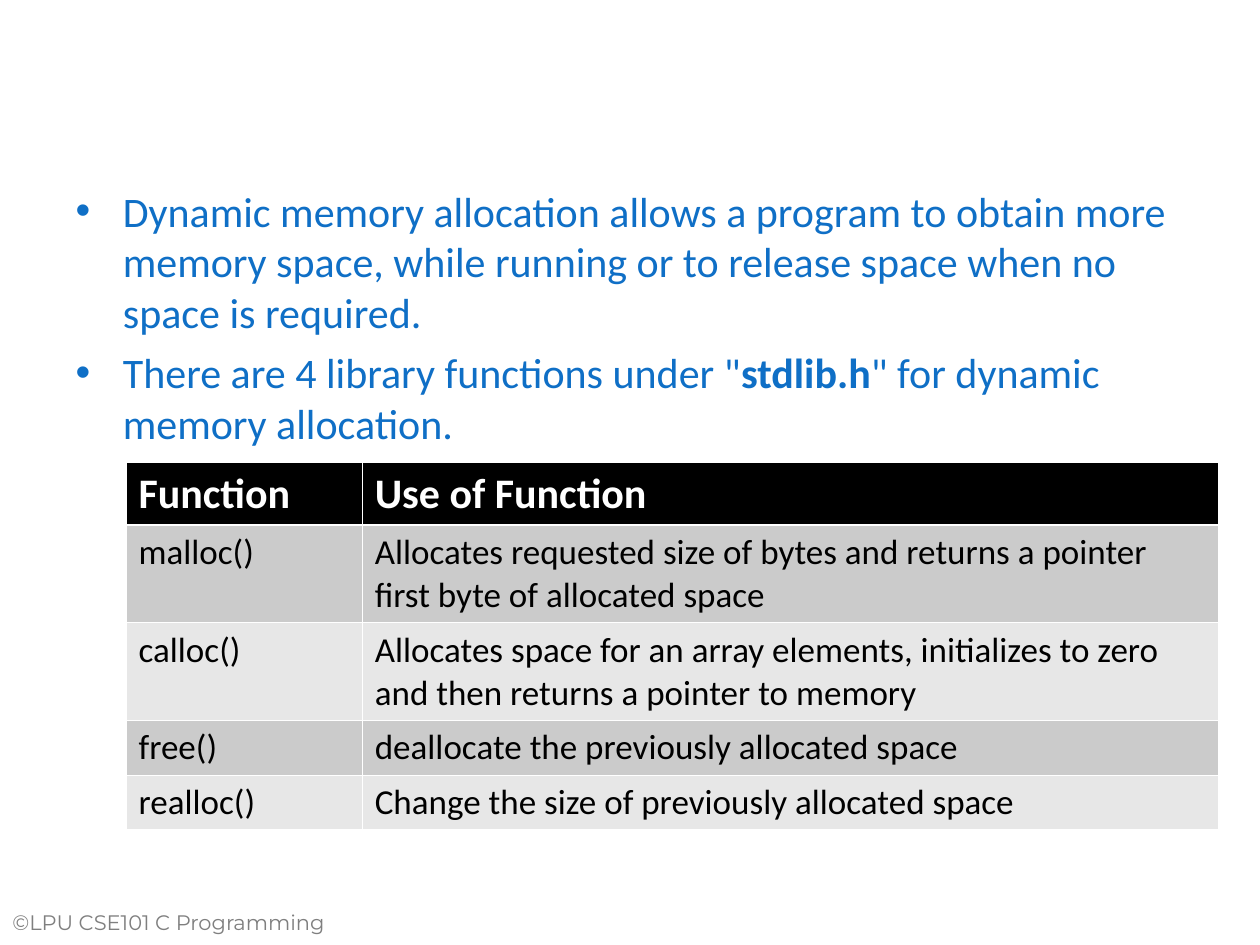
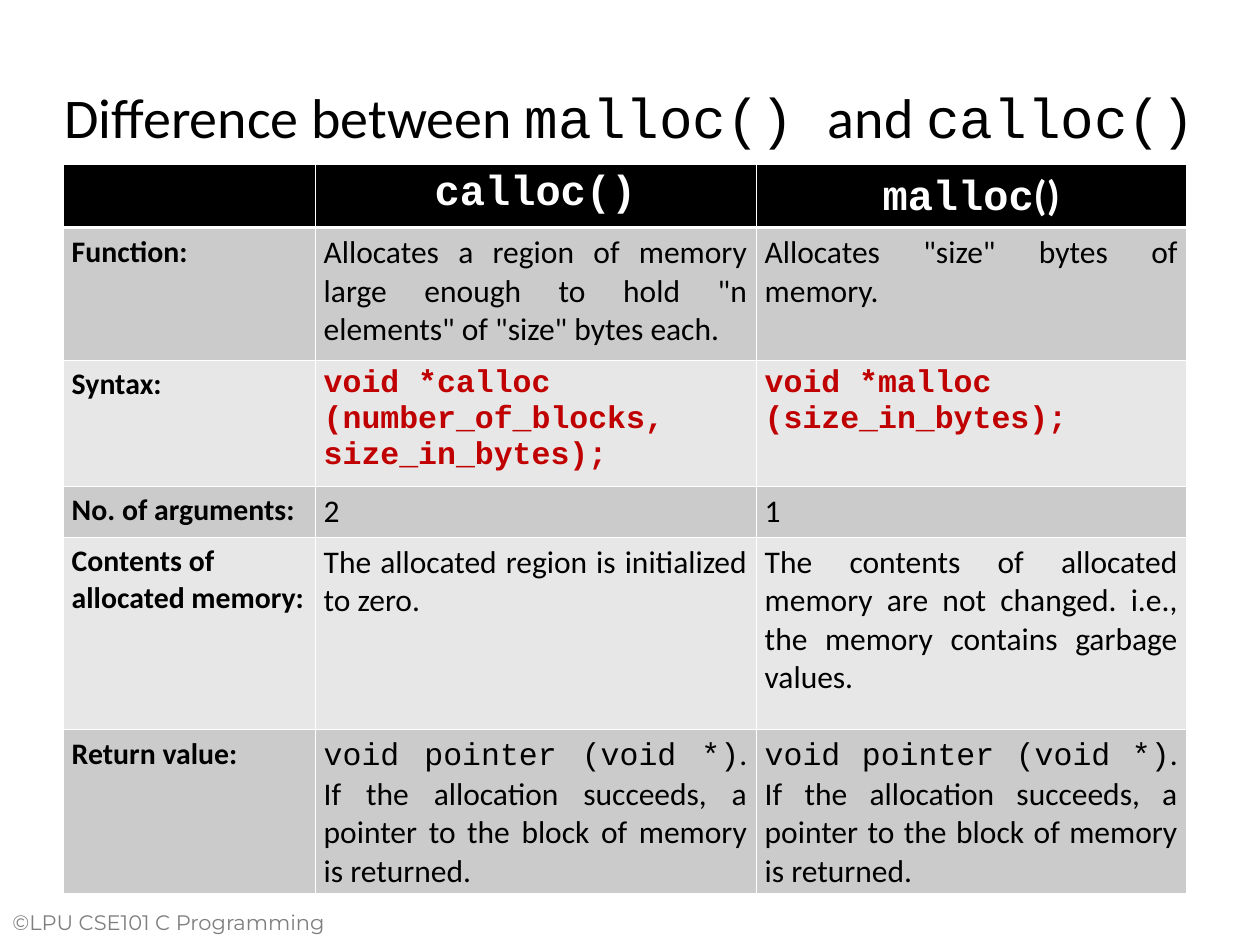
from dataclasses import dataclass

from lxml import etree
from pptx import Presentation
from pptx.dml.color import RGBColor
from pptx.enum.text import MSO_ANCHOR, MSO_AUTO_SIZE, PP_ALIGN
from pptx.oxml.ns import qn
from pptx.util import Pt

LEFT, CENTER, JUSTIFY = PP_ALIGN.LEFT, PP_ALIGN.CENTER, PP_ALIGN.JUSTIFY
TOP, MIDDLE = MSO_ANCHOR.TOP, MSO_ANCHOR.MIDDLE
NO_AUTOFIT = MSO_AUTO_SIZE.NONE

SANS, MONO, FOOTER_FONT = "Calibri", "Courier New", "Montserrat"
BLACK, WHITE, GRAY = "000000", "FFFFFF", "7F7F7F"
BLUE, RED = "0F6FC6", "C00000"
BANDS = ("CBCBCB", "E7E7E7")
THIN, THICK = 0.45, 1.47
CONTENT_LAYOUT, TITLE_LAYOUT = 1, 5


@dataclass(frozen=True)
class Span:
    text: str
    size: float
    font: str = SANS
    color: str = BLACK
    bold: bool = False


@dataclass(frozen=True)
class Cell:
    spans: tuple[Span, ...] = ()
    align: PP_ALIGN = LEFT


@dataclass(frozen=True)
class TableStyle:
    left: float
    top: float
    widths: tuple[float, ...]
    heights: tuple[float, ...]
    side_margin: float
    header_anchor: MSO_ANCHOR


def rgb(color: str) -> RGBColor:
    return RGBColor.from_string(color)


def place(shape, left: float, top: float, width: float, height: float) -> None:
    shape.left, shape.top = Pt(left), Pt(top)
    shape.width, shape.height = Pt(width), Pt(height)


def add_spans(para, spans: tuple[Span, ...]) -> None:
    for span in spans:
        run = para.add_run()
        run.text = span.text
        run.font.size = Pt(span.size)
        run.font.name = span.font
        run.font.bold = span.bold
        run.font.color.rgb = rgb(span.color)


def add_page(deck, layout: int):
    """Add a slide with the shared white background and footer."""
    page = deck.slides.add_slide(deck.slide_layouts[layout])
    page.background.fill.solid()
    page.background.fill.fore_color.rgb = rgb(WHITE)
    box = page.shapes.add_textbox(Pt(0), Pt(516), Pt(216), Pt(30))
    box.text_frame.word_wrap = True
    add_spans(box.text_frame.paragraphs[0],
              (Span("©LPU CSE101 C Programming", 12, FOOTER_FONT, GRAY),))
    return page


def add_borders(cell, row: int) -> None:
    """Draw white cell edges, with a thicker one under the header row."""
    top = THICK if row == 1 else THIN
    bottom = THICK if row == 0 else THIN
    properties = cell._tc.get_or_add_tcPr()
    for side, width in (("L", THIN), ("R", THIN), ("T", top), ("B", bottom)):
        line = etree.SubElement(properties, qn(f"a:ln{side}"), w=str(Pt(width)))
        fill = etree.SubElement(line, qn("a:solidFill"))
        etree.SubElement(fill, qn("a:srgbClr"), val=WHITE)


def add_grid(page, style: TableStyle, rows: list[tuple[Cell, ...]]) -> None:
    """Add a table with a black header and two alternating gray bands."""
    table = page.shapes.add_table(
        len(rows), len(style.widths), Pt(style.left), Pt(style.top),
        Pt(sum(style.widths)), Pt(sum(style.heights))).table
    for column, width in zip(table.columns, style.widths):
        column.width = Pt(width)
    for index, (row, height) in enumerate(zip(rows, style.heights)):
        table.rows[index].height = Pt(height)
        for column, content in enumerate(row):
            cell = table.cell(index, column)
            add_borders(cell, index)
            cell.fill.solid()
            cell.fill.fore_color.rgb = rgb(BANDS[(index - 1) % 2] if index else BLACK)
            cell.margin_left = cell.margin_right = Pt(style.side_margin)
            cell.vertical_anchor = TOP if index else style.header_anchor
            para = cell.text_frame.paragraphs[0]
            para.alignment = content.align
            add_spans(para, content.spans)


def header(text: str, font: str = SANS) -> Span:
    return Span(text, 24, font, WHITE, True)


def label(text: str) -> Cell:
    return Cell((Span(text, 17, bold=True),))


def prose(text: str) -> Cell:
    return Cell((Span(text, 18),), JUSTIFY)


def syntax(text: str) -> Cell:
    return Cell((Span(text, 18, MONO, RED, True),))


def build_functions_page(deck) -> None:
    page = add_page(deck, CONTENT_LAYOUT)
    title, body = page.placeholders
    title.element.getparent().remove(title.element)
    place(body, 36, 102.24, 648, 368.64)
    frame = body.text_frame
    frame.auto_size = NO_AUTOFIT
    bullets = (
        (Span("Dynamic memory allocation allows a program to obtain more memory space, "
              "while running or to release space when no space is required.",
              24, color=BLUE),),
        (Span('There are 4 library functions under "', 24, color=BLUE),
         Span("stdlib.h", 24, color=BLUE, bold=True),
         Span('" for dynamic memory allocation.', 24, color=BLUE)),
    )
    for index, spans in enumerate(bullets):
        para = frame.add_paragraph() if index else frame.paragraphs[0]
        para.space_before = Pt(6 if index else 0)
        add_spans(para, spans)

    uses = (
        ("malloc()", "Allocates requested size of bytes and returns a pointer "
                     "first byte of allocated space"),
        ("calloc()", "Allocates space for an array elements, initializes to zero "
                     "and then returns a pointer to memory"),
        ("free()", "deallocate the previously allocated space"),
        ("realloc()", "Change the size of previously allocated space"),
    )
    rows = [(Cell((header("Function"),)), Cell((header("Use of Function"),)))]
    rows += [tuple(Cell((Span(text, 20),)) for text in use) for use in uses]
    style = TableStyle(72, 264, (135, 489), (36, 55.8, 55.8, 31.2, 31.2), 7.2, MIDDLE)
    add_grid(page, style, rows)


def build_difference_page(deck) -> None:
    page = add_page(deck, TITLE_LAYOUT)
    title = page.shapes.title
    place(title, 12, 21.6, 696, 90)
    title.text_frame.auto_size = NO_AUTOFIT
    title.text_frame.vertical_anchor = MIDDLE
    para = title.text_frame.paragraphs[0]
    para.alignment = CENTER
    add_spans(para, (Span("Difference between ", 32), Span("malloc() ", 32, MONO),
                     Span("and ", 32), Span("calloc()", 32, MONO)))

    returned = Cell((
        Span("void pointer (void *)", 18, MONO),
        Span(". If the allocation succeeds, a pointer to the block of memory "
             "is returned.", 18)), JUSTIFY)
    rows = [
        (Cell(), Cell((header("calloc()", MONO),), CENTER),
         Cell((header("malloc", MONO), header("()")), CENTER)),
        (label("Function:"),
         prose('Allocates a region of memory large enough to hold "n elements" '
               'of "size" bytes each.'),
         prose('Allocates "size" bytes of memory.')),
        (label("Syntax:"),
         syntax("void *calloc (number_of_blocks, size_in_bytes);"),
         syntax("void *malloc (size_in_bytes);")),
        (label("No. of arguments:"), prose("2"), prose("1")),
        (label("Contents of allocated memory:"),
         prose("The allocated region is initialized to zero."),
         prose("The contents of allocated memory are not changed. i.e., "
               "the memory contains garbage values.")),
        (label("Return value:"), returned, returned),
    ]
    style = TableStyle(36, 94, (144, 252, 246),
                       (34.8, 75.8, 70.8, 29, 110, 93), 5, TOP)
    add_grid(page, style, rows)


def main() -> None:
    deck = Presentation()
    deck.slide_width, deck.slide_height = Pt(720), Pt(540)
    build_functions_page(deck)
    build_difference_page(deck)
    deck.save("out.pptx")


if __name__ == "__main__":
    main()
